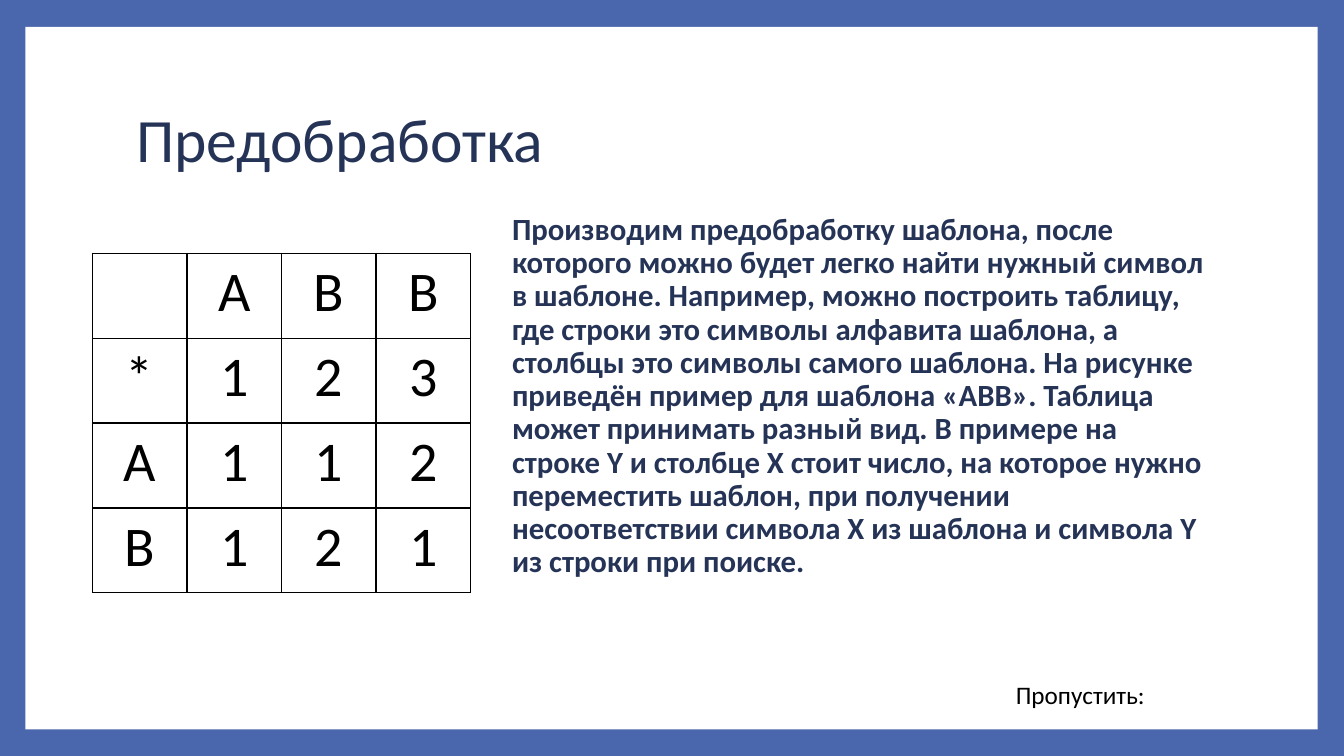
from lxml.etree import SubElement
from pptx import Presentation
from pptx.dml.color import RGBColor
from pptx.enum.shapes import MSO_SHAPE
from pptx.enum.text import MSO_ANCHOR, MSO_AUTO_SIZE, PP_ALIGN
from pptx.oxml.ns import qn
from pptx.util import Cm, Pt

BLUE = RGBColor(0x4A, 0x66, 0xAC)
NAVY = RGBColor(0x25, 0x33, 0x56)
WHITE = RGBColor(0xFF, 0xFF, 0xFF)
BLACK = RGBColor(0x00, 0x00, 0x00)

BODY = (
    "Производим предобработку шаблона, после которого можно будет легко найти "
    "нужный символ в шаблоне. Например, можно построить таблицу, где строки это "
    "символы алфавита шаблона, а столбцы это символы самого шаблона. На рисунке "
    "приведён пример для шаблона «АВВ». Таблица может принимать разный вид. "
    "В примере на строке Y и столбце X стоит число, на которое нужно переместить "
    "шаблон, при получении несоответствии символа Х из шаблона и символа Y из "
    "строки при поиске."
)
SHIFTS = [" ABB", "*123", "A112", "B121"]


class SlideBuilder:
    def __init__(self, prs, font="Calibri"):
        self.font = font
        self.slide = prs.slides.add_slide(prs.slide_layouts[1])
        fill = self.slide.background.fill
        fill.solid()
        fill.fore_color.rgb = BLUE

    def format_runs(self, p, size, color, bold=False):
        for r in p.runs:
            r.font.name = self.font
            r.font.size = Pt(size)
            r.font.bold = bold
            r.font.color.rgb = color

    def place(self, sp, left, top, width, height):
        sp.left, sp.top = Cm(left), Cm(top)
        sp.width, sp.height = Cm(width), Cm(height)

    def panel(self, left, top, width, height):
        """Add the white panel behind everything else."""
        shapes = self.slide.shapes
        sp = shapes.add_shape(MSO_SHAPE.RECTANGLE, Cm(left), Cm(top), Cm(width), Cm(height))
        sp.shadow.inherit = False
        sp.fill.solid()
        sp.fill.fore_color.rgb = WHITE
        sp.line.fill.background()
        shapes.element.insert(2, sp.element)

    def title(self, text, box):
        sp = self.slide.shapes.title
        self.place(sp, *box)
        tf = sp.text_frame
        tf.text = text
        tf.auto_size = MSO_AUTO_SIZE.NONE
        tf.vertical_anchor = MSO_ANCHOR.MIDDLE
        p = tf.paragraphs[0]
        p.alignment = PP_ALIGN.LEFT
        p.line_spacing = 0.9
        self.format_runs(p, 44, NAVY)

    def body(self, text, box):
        sp = self.slide.placeholders[1]
        self.place(sp, *box)
        tf = sp.text_frame
        tf.text = text
        tf.auto_size = MSO_AUTO_SIZE.NONE
        p = tf.paragraphs[0]
        pPr = p._p.get_or_add_pPr()
        pPr.set("marL", str(Cm(0.13)))
        pPr.set("indent", "0")
        SubElement(pPr, qn("a:buNone"))
        p.line_spacing = 0.9
        p.space_before = Pt(0)
        self.format_runs(p, 22, NAVY, bold=True)

    def table(self, rows, left, top, width, height):
        count = len(rows)
        table = self.slide.shapes.add_table(
            count, len(rows[0]), Cm(left), Cm(top), Cm(width), Cm(height)
        ).table
        table.first_row = table.horz_banding = False
        for i, row in enumerate(rows):
            for j, symbol in enumerate(row):
                cell = table.cell(i, j)
                cell.text = symbol.strip()
                p = cell.text_frame.paragraphs[0]
                p.alignment = PP_ALIGN.CENTER
                self.format_runs(p, 40, BLACK)
                self.cell_borders(cell)
                cell.fill.background()

    def cell_borders(self, cell):
        tcPr = cell._tc.get_or_add_tcPr()
        for side in ("lnL", "lnR", "lnT", "lnB"):
            ln = SubElement(tcPr, qn(f"a:{side}"), w=str(Pt(1)))
            fill = SubElement(ln, qn("a:solidFill"))
            SubElement(fill, qn("a:srgbClr"), val=str(BLACK))

    def label(self, text, left, top, width, height):
        sp = self.slide.shapes.add_textbox(Cm(left), Cm(top), Cm(width), Cm(height))
        tf = sp.text_frame
        tf.word_wrap = True
        tf.auto_size = MSO_AUTO_SIZE.SHAPE_TO_FIT_TEXT
        tf.text = text
        self.format_runs(tf.paragraphs[0], 18, BLACK)


def main():
    prs = Presentation()
    prs.slide_width, prs.slide_height = Cm(33.87), Cm(19.05)
    s = SlideBuilder(prs)
    s.panel(0.64, 0.68, 32.57, 17.7)
    s.title("Предобработка", (3.18, 1.7, 27.43, 3.76))
    s.body(BODY, (12.52, 5.26, 18.08, 11.23))
    s.table(SHIFTS, 2.33, 6.38, 9.53, 8.56)
    s.label("Пропустить:", 25.35, 17, 4.6, 1.02)
    prs.save("out.pptx")


if __name__ == "__main__":
    main()
